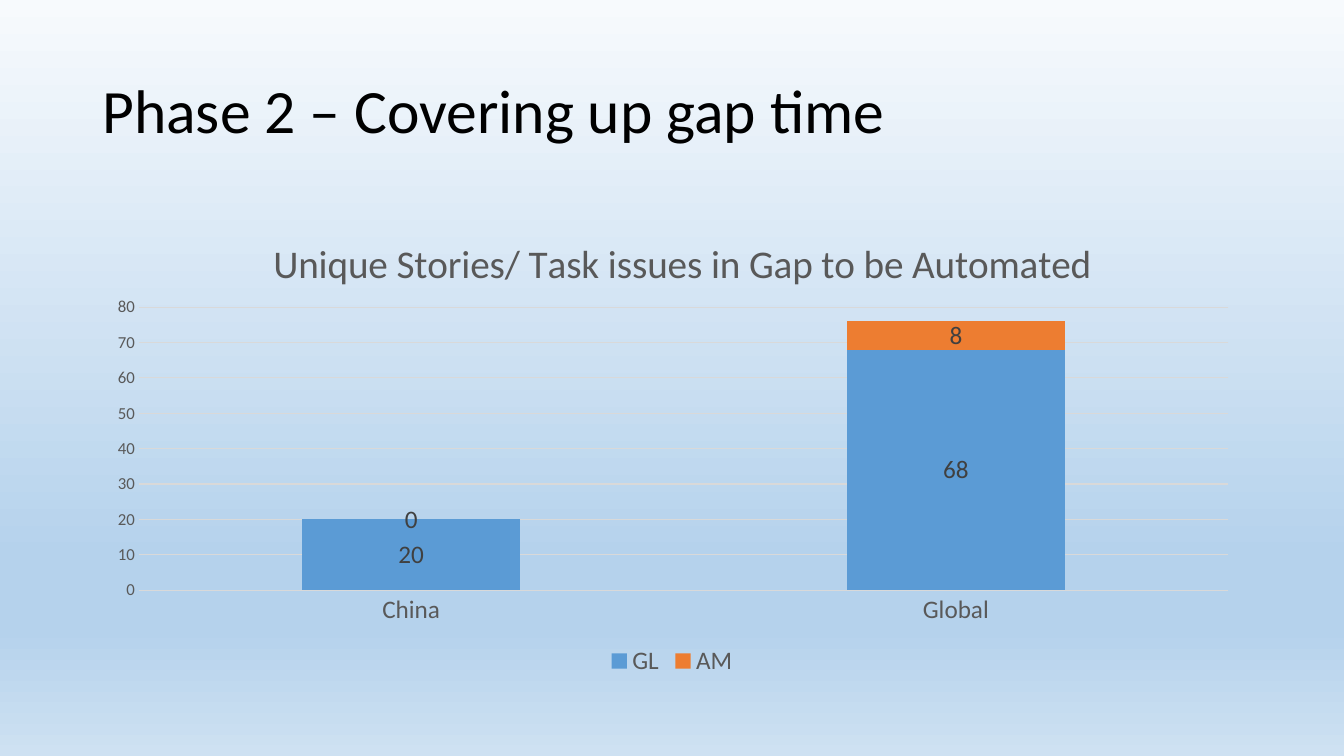
"""Build the slide on gap time with a stacked column chart of issues to automate."""
from dataclasses import dataclass

import lxml.etree
import pptx
import pptx.chart.data
import pptx.dml.color
import pptx.enum.chart
import pptx.enum.text
import pptx.oxml
import pptx.oxml.ns
import pptx.util

Cm = pptx.util.Cm
Pt = pptx.util.Pt
RGB = pptx.dml.color.RGBColor.from_string
qn = pptx.oxml.ns.qn


@dataclass(frozen=True)
class Theme:
    font: str = "Calibri"
    ink: str = "000000"
    text: str = "595959"
    label: str = "404040"
    grid: str = "D9D9D9"
    title_size: float = 44
    chart_title_size: float = 28
    body_size: float = 18
    scale_size: float = 12
    background: tuple = ((0, "F7FAFD"), (74, "B5D2EC"), (83, "B5D2EC"), (100, "CEE1F2"))


@dataclass(frozen=True)
class Series:
    name: str
    values: tuple[int, ...]
    color: str


THEME = Theme()
REGIONS = ("China", "Global")
SERIES = (
    Series("GL", (20, 68), "5B9BD5"),
    Series("AM", (0, 8), "ED7D31"),
)
LEFT, WIDTH = Cm(2.33), Cm(29.21)


def style_font(font, size: float, color: str) -> None:
    font.name = THEME.font
    font.size = Pt(size)
    font.bold = False
    font.color.rgb = RGB(color)


def paint_background(s) -> None:
    fill = s.background.fill
    fill.gradient()
    fill.gradient_angle = 270
    stops = s.element.find(".//" + qn("a:gsLst"))
    for stop in list(stops):
        stops.remove(stop)
    for percent, color in THEME.background:
        gs = lxml.etree.SubElement(stops, qn("a:gs"), pos=str(percent * 1000))
        lxml.etree.SubElement(gs, qn("a:srgbClr"), val=color)


def add_title(s, text: str) -> None:
    tf = s.shapes.add_textbox(LEFT, Cm(1.01), WIDTH, Cm(3.68)).text_frame
    tf.word_wrap = True
    tf.vertical_anchor = pptx.enum.text.MSO_ANCHOR.MIDDLE
    p = tf.paragraphs[0]
    p.line_spacing = 0.9
    r = p.add_run()
    r.text = text
    style_font(r.font, THEME.title_size, THEME.ink)


def place(parent, index: int, **fractions: float) -> None:
    """Give a chart part a fixed place, in fractions of the chart."""
    layout = parent.find(qn("c:layout"))
    if layout is None:
        layout = pptx.oxml.parse_xml(f"<c:layout {pptx.oxml.ns.nsdecls('c')}/>")
        parent.insert(index, layout)
    manual = lxml.etree.SubElement(layout, qn("c:manualLayout"))
    if "w" in fractions:
        lxml.etree.SubElement(manual, qn("c:layoutTarget"), val="inner")
    for side in ("x", "y"):
        lxml.etree.SubElement(manual, qn(f"c:{side}Mode"), val="edge")
    for name, fraction in fractions.items():
        lxml.etree.SubElement(manual, qn(f"c:{name}"), val=str(fraction))


def style_axis(axis, size: float) -> None:
    axis.major_tick_mark = pptx.enum.chart.XL_TICK_MARK.NONE
    axis.minor_tick_mark = pptx.enum.chart.XL_TICK_MARK.NONE
    axis.format.line.fill.background()
    style_font(axis.tick_labels.font, size, THEME.text)


def add_issue_chart(s, title: str) -> None:
    data = pptx.chart.data.CategoryChartData()
    data.categories = REGIONS
    for series in SERIES:
        data.add_series(series.name, series.values)
    chart = s.shapes.add_chart(
        pptx.enum.chart.XL_CHART_TYPE.COLUMN_STACKED, LEFT, Cm(5.08), WIDTH, Cm(12.09), data
    ).chart
    chart.font.name = THEME.font

    chart.has_title = True
    r = chart.chart_title.text_frame.paragraphs[0].add_run()
    r.text = title
    style_font(r.font, THEME.chart_title_size, THEME.text)
    chart.chart_title.include_in_layout = False
    place(chart.element.find(".//" + qn("c:title")), 1, x=0.15, y=0.06)
    place(chart.element.find(".//" + qn("c:plotArea")), 0, x=0.04, y=0.22, w=0.94, h=0.59)

    style_axis(chart.category_axis, THEME.body_size)
    style_axis(chart.value_axis, THEME.scale_size)
    chart.value_axis.minimum_scale = 0
    chart.value_axis.maximum_scale = 80
    chart.value_axis.major_unit = 10
    grid = chart.value_axis.major_gridlines.format.line
    grid.color.rgb = RGB(THEME.grid)
    grid.width = Pt(0.75)

    chart.has_legend = True
    chart.legend.position = pptx.enum.chart.XL_LEGEND_POSITION.BOTTOM
    chart.legend.include_in_layout = False
    style_font(chart.legend.font, THEME.body_size, THEME.text)

    plot = chart.plots[0]
    plot.gap_width = 150
    plot.overlap = 100
    plot.vary_by_categories = False
    for column, series in zip(plot.series, SERIES):
        column.format.fill.solid()
        column.format.fill.fore_color.rgb = RGB(series.color)
        column.data_labels.show_value = True
        style_font(column.data_labels.font, THEME.body_size, THEME.label)


def main() -> None:
    prs = pptx.Presentation()
    prs.slide_width, prs.slide_height = Cm(33.87), Cm(19.05)
    s = prs.slides.add_slide(prs.slide_layouts[6])
    paint_background(s)
    add_title(s, "Phase 2 – Covering up gap time")
    add_issue_chart(s, "Unique Stories/ Task issues in Gap to be Automated")
    prs.save("out.pptx")


if __name__ == "__main__":
    main()
